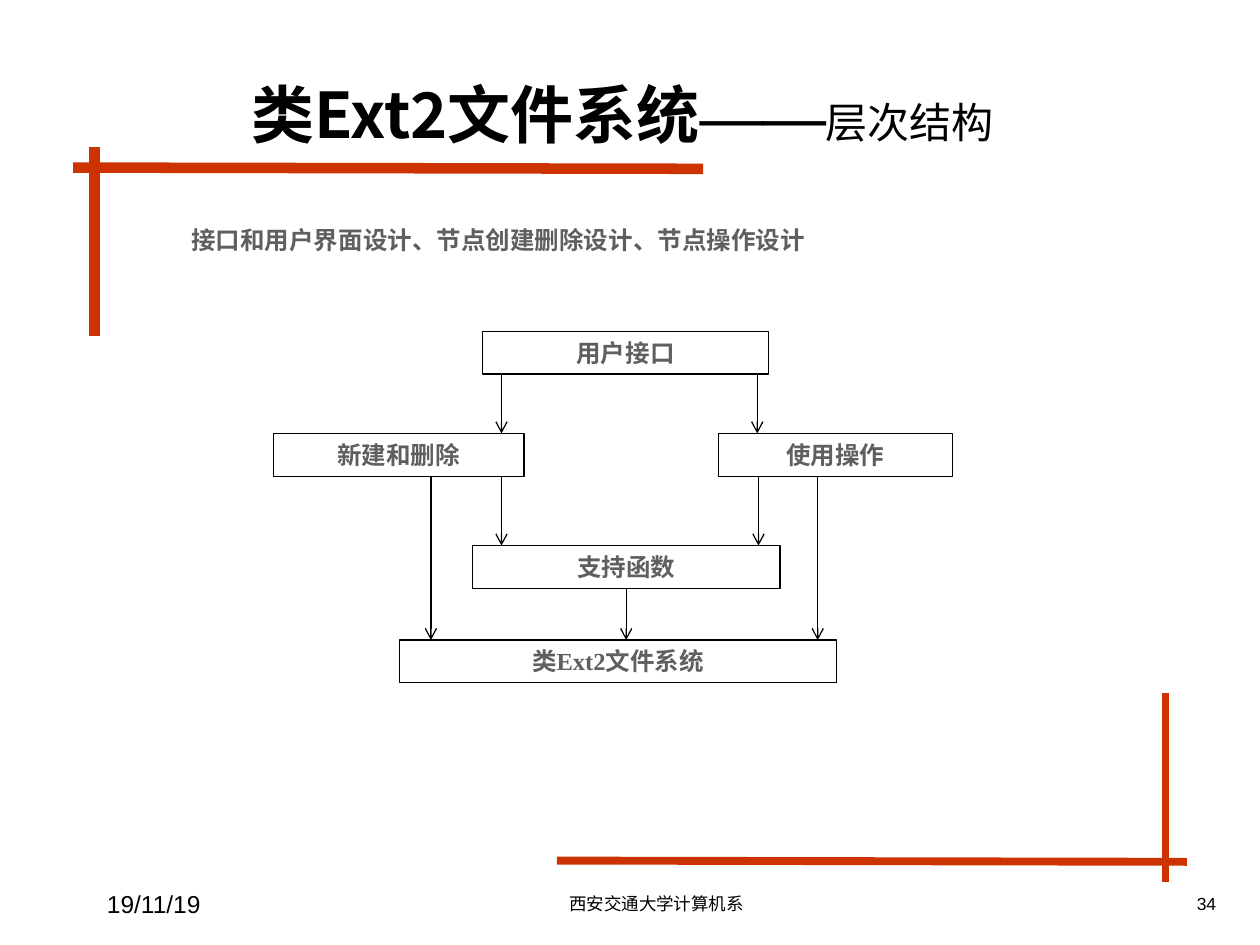
from pptx import Presentation
from pptx.dml.color import RGBColor
from pptx.enum.shapes import MSO_CONNECTOR, MSO_SHAPE
from pptx.enum.text import MSO_ANCHOR, PP_ALIGN
from pptx.oxml.ns import qn
from pptx.util import Inches, Pt
from lxml.etree import SubElement

COLORS = {"accent": "CC3300", "ink": "000000", "body": "5F5F5F", "paper": "FFFFFF"}
CJK = "Noto Sans CJK SC"
SERIF = "Times New Roman"
SANS = "Arial"


class SlideBuilder:
    def __init__(self, slide):
        self.slide = slide

    def color(self, name):
        return RGBColor.from_string(COLORS[name])

    def run(self, paragraph, words, size, font, color="ink", bold=False, east_asian=CJK):
        run = paragraph.add_run()
        run.text = words
        run.font.size = Pt(size)
        run.font.bold = bold
        run.font.name = font
        run.font.color.rgb = self.color(color)
        SubElement(run.font._element, qn("a:ea")).set("typeface", east_asian)

    def text(self, left, top, width, height, align=PP_ALIGN.LEFT, anchor=MSO_ANCHOR.MIDDLE):
        area = self.slide.shapes.add_textbox(
            Inches(left), Inches(top), Inches(width), Inches(height))
        area.text_frame.word_wrap = True
        area.text_frame.vertical_anchor = anchor
        paragraph = area.text_frame.paragraphs[0]
        paragraph.alignment = align
        return paragraph

    def box(self, words, left, top, width, height):
        module = self.slide.shapes.add_shape(
            MSO_SHAPE.RECTANGLE, Inches(left), Inches(top), Inches(width), Inches(height))
        module.shadow.inherit = False
        module.fill.solid()
        module.fill.fore_color.rgb = self.color("paper")
        module.line.color.rgb = self.color("ink")
        module.line.width = Pt(0.75)
        module.text_frame.word_wrap = True
        module.text_frame.vertical_anchor = MSO_ANCHOR.TOP
        paragraph = module.text_frame.paragraphs[0]
        paragraph.alignment = PP_ALIGN.CENTER
        self.run(paragraph, words, 14, SERIF, "body", True)

    def line(self, x1, y1, x2, y2, color, width):
        connector = self.slide.shapes.add_connector(
            MSO_CONNECTOR.STRAIGHT, Inches(x1), Inches(y1), Inches(x2), Inches(y2))
        connector.line.color.rgb = self.color(color)
        connector.line.width = Pt(width)
        SubElement(connector._element.spPr, qn("a:effectLst"))
        return connector

    def arrow(self, x, top, bottom):
        connector = self.line(x, top, x, bottom, "ink", 0.75)
        SubElement(connector.line._get_or_add_ln(), qn("a:tailEnd")).set("type", "arrow")


def main():
    deck = Presentation()
    deck.slide_width, deck.slide_height = Inches(10), Inches(7.5)
    page = SlideBuilder(deck.slides.add_slide(deck.slide_layouts[6]))

    for x1, y1, x2, y2, width in [
        (0.58, 1.33, 5.58, 1.34, 6),
        (4.42, 6.83, 9.42, 6.84, 4.5),
        (0.75, 1.17, 0.75, 2.67, 6),
        (9.25, 5.5, 9.25, 7, 4.5),
    ]:
        page.line(x1, y1, x2, y2, "accent", width)

    for words, left, width, size, align in [
        ("19/11/19", 0.75, 2.42, 14, PP_ALIGN.LEFT),
        ("西安交通大学计算机系", 3.42, 3.58, 10, PP_ALIGN.CENTER),
        ("34", 7.17, 2.58, 10, PP_ALIGN.RIGHT),
    ]:
        page.run(page.text(left, 6.92, width, 0.5, align), words, size, SANS)

    title = page.text(0.75, 0.33, 8.5, 0.92, PP_ALIGN.CENTER, MSO_ANCHOR.BOTTOM)
    page.run(title, "类Ext2文件系统", 36, CJK, bold=True)
    page.run(title, "——", 36, SERIF, bold=True, east_asian=SERIF)
    page.run(title, "层次结构", 24, CJK)
    page.run(title, " ", 36, SERIF, bold=True)

    summary = page.text(0.92, 1.5, 8.33, 5.25, anchor=MSO_ANCHOR.TOP)
    summary.line_spacing = 2.0
    indent = summary._p.get_or_add_pPr()
    indent.set("marL", str(Inches(0.81)))
    indent.set("indent", str(Inches(-0.31)))
    page.run(summary, "接口和用户界面设计、节点创建删除设计、节点操作设计", 14, SERIF, "body", True)

    box_height = 0.34
    interface, operations, support, filesystem = 2.63, 3.44, 4.33, 5.08
    for words, left, top, width in [
        ("用户接口", 3.83, interface, 2.27),
        ("新建和删除", 2.17, operations, 1.99),
        ("使用操作", 5.7, operations, 1.86),
        ("支持函数", 3.75, support, 2.44),
        ("类Ext2文件系统", 3.17, filesystem, 3.47),
    ]:
        page.box(words, left, top, width, box_height)

    for x, upper, lower in [
        (3.98, interface, operations),
        (6.01, interface, operations),
        (3.98, operations, support),
        (6.02, operations, support),
        (3.42, operations, filesystem),
        (6.49, operations, filesystem),
        (4.97, support, filesystem),
    ]:
        page.arrow(x, upper + box_height, lower)

    deck.save("out.pptx")


if __name__ == "__main__":
    main()
